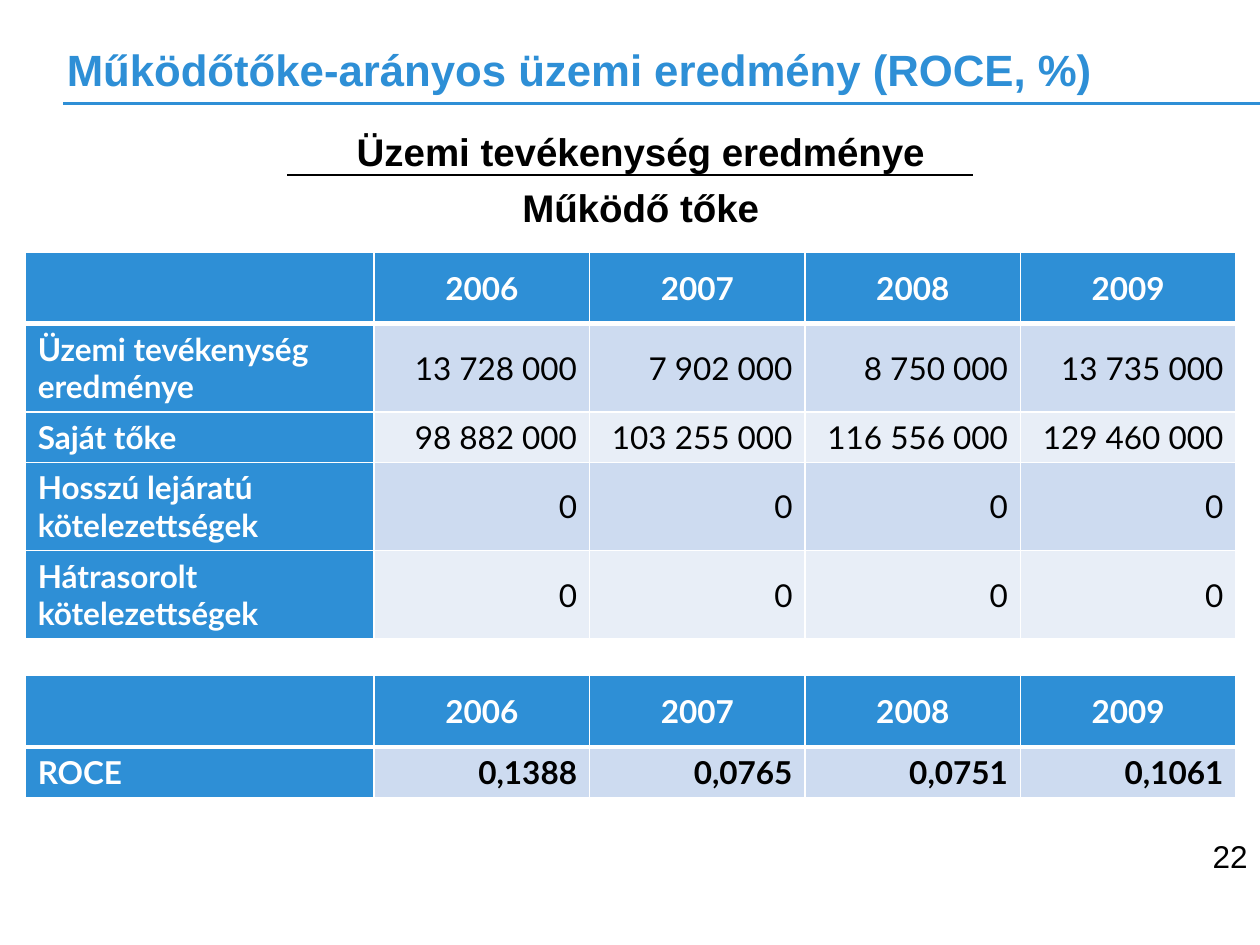
from lxml.etree import SubElement
from pptx import Presentation
from pptx.dml.color import RGBColor
from pptx.enum.shapes import MSO_CONNECTOR
from pptx.enum.text import MSO_ANCHOR, PP_ALIGN
from pptx.oxml.ns import qn
from pptx.util import Inches, Pt

BLUE, WHITE, BLACK = "2E8FD6", "FFFFFF", "000000"
BANDS = ("CDDBF0", "E8EEF7")
COLUMNS, ROWS = 100, 75  # layout grid over the whole slide


def color(value):
    return RGBColor.from_string(value)


class SlideBuilder:
    """Holds the style and the current slide; lengths are grid units."""

    text_font, table_font = "Arial", "Lato"

    def __init__(self, presentation):
        self.unit_x = presentation.slide_width / COLUMNS
        self.unit_y = presentation.slide_height / ROWS
        self.slide = presentation.slides.add_slide(presentation.slide_layouts[6])

    def x(self, columns):
        return round(columns * self.unit_x)

    def y(self, rows):
        return round(rows * self.unit_y)

    def style(self, paragraph, name, size, fill, bold, align):
        paragraph.alignment = align
        font = paragraph.font
        font.name, font.size, font.bold = name, Pt(size), bold
        font.color.rgb = color(fill)

    def text(self, lines, left, top, width, height, size, fill=BLACK, bold=True,
             align=PP_ALIGN.LEFT, anchor=MSO_ANCHOR.TOP, insets=(0, 0, 0, 0), gap=0):
        box = self.slide.shapes.add_textbox(
            self.x(left), self.y(top), self.x(width), self.y(height))
        frame = box.text_frame
        frame.word_wrap = True
        frame.vertical_anchor = anchor
        frame.margin_left, frame.margin_right = self.x(insets[0]), self.x(insets[2])
        frame.margin_top, frame.margin_bottom = self.y(insets[1]), self.y(insets[3])
        frame.text = "\n".join(lines)
        for paragraph in frame.paragraphs:
            self.style(paragraph, self.text_font, size, fill, bold, align)
            paragraph.space_after = Pt(gap)

    def rule(self, start, end, row, fill, width):
        line = self.slide.shapes.add_connector(
            MSO_CONNECTOR.STRAIGHT, self.x(start), self.y(row), self.x(end), self.y(row))
        line.line.color.rgb = color(fill)
        line.line.width = Pt(width)
        SubElement(line._element.spPr, qn("a:effectLst"))

    def borders(self, cell, top, bottom):
        properties = cell._tc.get_or_add_tcPr()
        for side, width in (("L", 1), ("R", 1), ("T", top), ("B", bottom)):
            border = SubElement(properties, qn(f"a:ln{side}"), w=str(Pt(width)))
            solid = SubElement(border, qn("a:solidFill"))
            SubElement(solid, qn("a:srgbClr"), val=WHITE)

    def table(self, data, left, top, widths, heights, bold_values=False):
        table = self.slide.shapes.add_table(
            len(data), len(widths), self.x(left), self.y(top),
            self.x(sum(widths)), self.y(sum(heights))).table
        for column, width in zip(table.columns, widths):
            column.width = self.x(width)
        for row, height in zip(table.rows, heights):
            row.height = self.y(height)
        for r, values in enumerate(data):
            for c, value in enumerate(values):
                cell = table.cell(r, c)
                header, label = r == 0, c == 0
                # A thick line parts the header from the body
                self.borders(cell, 3 if r == 1 else 1, 3 if header else 1)
                cell.fill.solid()
                cell.fill.fore_color.rgb = color(
                    BLUE if header or label else BANDS[(r - 1) % 2])
                cell.vertical_anchor = (
                    MSO_ANCHOR.TOP if label else MSO_ANCHOR.MIDDLE)
                cell.text = value
                align = (PP_ALIGN.CENTER if header
                         else PP_ALIGN.LEFT if label else PP_ALIGN.RIGHT)
                self.style(cell.text_frame.paragraphs[0], self.table_font, 18,
                           WHITE if header or label else BLACK,
                           header or label or bold_values, align)


def main():
    presentation = Presentation()
    presentation.slide_width, presentation.slide_height = Inches(10), Inches(7.5)
    builder = SlideBuilder(presentation)

    # Title with its underline
    builder.rule(5, 100, 8.2, BLUE, 1.5)
    builder.text(["Működőtőke-arányos üzemi eredmény (ROCE, %)"],
                 5.3, 2.5, 94.5, 6, 25, BLUE, anchor=MSO_ANCHOR.MIDDLE)

    # Formula as a fraction
    builder.text(["Üzemi tevékenység eredménye", "Működő tőke"],
                 0.1, 9.9, 97.5, 61.4, 22, align=PP_ALIGN.CENTER,
                 insets=(5, 0.3, 1, 0.5), gap=5.5)
    builder.rule(22.8, 77.2, 13.9, BLACK, 0.75)

    # Input figures and the resulting ratio
    header = ["", "2006", "2007", "2008", "2009"]
    widths = [27.7] + [17.1] * 4
    figures = [
        header,
        ["Üzemi tevékenység eredménye",
         "13 728 000", "7 902 000", "8 750 000", "13 735 000"],
        ["Saját tőke", "98 882 000", "103 255 000", "116 556 000", "129 460 000"],
        ["Hosszú lejáratú kötelezettségek"] + ["0"] * 4,
        ["Hátrasorolt kötelezettségek"] + ["0"] * 4,
    ]
    ratio = [header, ["ROCE", "0,1388", "0,0765", "0,0751", "0,1061"]]
    builder.table(figures, 2, 20, widths, [5.7, 7, 4, 7, 7])
    builder.table(ratio, 2, 53.6, widths, [5.7, 4], bold_values=True)

    # Page number
    builder.text(["22"], 76.7, 65.9, 23.3, 3.1, 18, bold=False,
                 align=PP_ALIGN.RIGHT, insets=(1, 0.5, 1, 0.5))

    presentation.save("out.pptx")


if __name__ == "__main__":
    main()
